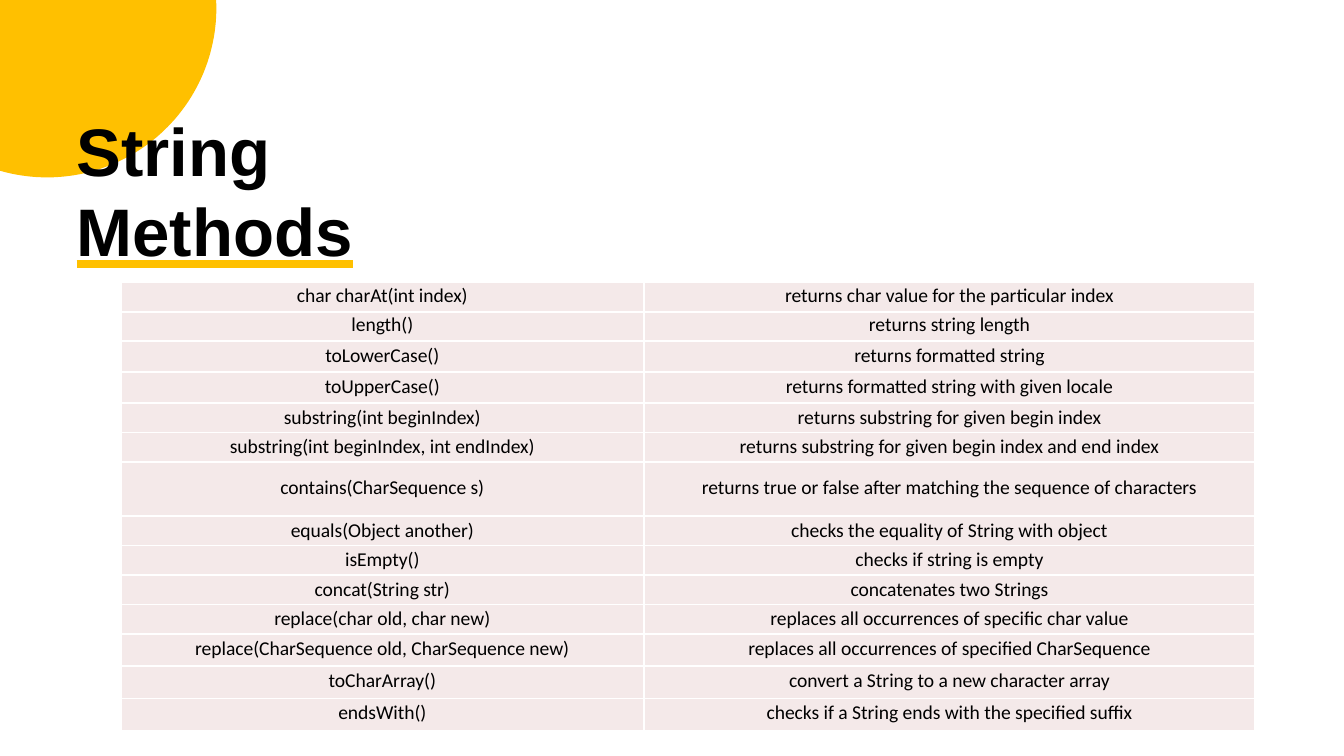
import math

from lxml import etree
from pptx import Presentation
from pptx.dml.color import RGBColor
from pptx.enum.text import MSO_UNDERLINE, PP_ALIGN
from pptx.oxml.ns import qn
from pptx.util import Inches, Pt

CENTER = PP_ALIGN.CENTER
HEAVY_LINE = MSO_UNDERLINE.HEAVY_LINE
YELLOW = RGBColor(0xFF, 0xC0, 0x00)
BLACK = RGBColor(0x00, 0x00, 0x00)
WHITE = RGBColor(0xFF, 0xFF, 0xFF)
PALE_PINK = RGBColor(0xF4, 0xE9, 0xE9)

SLIDE_WIDTH = Inches(10)
SLIDE_HEIGHT = SLIDE_WIDTH * 9 // 16
TITLE_LINES = ["String", "Methods"]

# method, description, row height, top margin of the cells
METHODS = [
    ("char charAt(int index)", "returns char value for the particular index", 0.22, 0.01),
    ("length()", "returns string length", 0.22, 0.01),
    ("toLowerCase()", "returns formatted string", 0.23, 0.02),
    ("toUpperCase()", "returns formatted string with given locale", 0.23, 0.02),
    ("substring(int beginIndex)", "returns substring for given begin index", 0.22, 0.02),
    ("substring(int beginIndex, int endIndex)",
     "returns substring for given begin index and end index", 0.22, 0.02),
    ("contains(CharSequence s)",
     "returns true or false after matching the sequence of characters", 0.40, 0.10),
    ("equals(Object another)", "checks the equality of String with object", 0.22, 0.02),
    ("isEmpty()", "checks if string is empty", 0.22, 0.02),
    ("concat(String str)", "concatenates two Strings", 0.22, 0.02),
    ("replace(char old, char new)",
     "replaces all occurrences of specific char value", 0.22, 0.02),
    ("replace(CharSequence old, CharSequence new)",
     "replaces all occurrences of specified CharSequence", 0.24, 0.02),
    ("toCharArray()", "convert a String to a new character array", 0.24, 0.02),
    ("endsWith()", "checks if a String ends with the specified suffix", 0.24, 0.02),
]
COLUMN_WIDTHS = [3.89, 4.55]
CIRCLE_X, CIRCLE_Y, RADIUS = 0.35, 0.06, 1.26
ARC_STEPS = 60


def add_solid_fill(parent, color):
    fill = etree.SubElement(parent, qn("a:solidFill"))
    etree.SubElement(fill, qn("a:srgbClr"), val=str(color))


def add_corner_circle(slide):
    """Draw the part of the circle that lies inside the top left corner."""
    start = -math.asin(CIRCLE_Y / RADIUS)
    end = math.pi - math.acos(CIRCLE_X / RADIUS)
    angles = [start + (end - start) * step / ARC_STEPS for step in range(ARC_STEPS + 1)]
    arc = [(Inches(CIRCLE_X + RADIUS * math.cos(angle)),
            Inches(CIRCLE_Y + RADIUS * math.sin(angle))) for angle in angles]
    builder = slide.shapes.build_freeform(0, 0)
    builder.add_line_segments(arc, close=True)
    circle = builder.convert_to_shape()
    circle.shadow.inherit = False
    circle.fill.solid()
    circle.fill.fore_color.rgb = YELLOW
    circle.line.fill.background()


def add_title(slide):
    box = slide.shapes.add_textbox(Inches(0.56), Inches(0.79), Inches(4.93), Inches(1.23))
    frame = box.text_frame
    frame.word_wrap = True
    frame.margin_left = Inches(0.01)
    frame.margin_top = Inches(0.02)
    frame.margin_right = frame.margin_bottom = 0
    frame.text = "\n".join(TITLE_LINES)
    for para in frame.paragraphs:
        font = para.font
        font.name, font.size, font.bold = "Arial", Pt(36), True
        font.color.rgb = BLACK
    span = frame.paragraphs[-1].runs[0]
    span.font.underline = HEAVY_LINE
    underline = etree.SubElement(span.font._element, qn("a:uFill"))
    add_solid_fill(underline, YELLOW)


def style_cell(cell, text, top_margin):
    cell.text = text
    cell.margin_left = cell.margin_right = cell.margin_bottom = 0
    cell.margin_top = Inches(top_margin)
    para = cell.text_frame.paragraphs[0]
    para.alignment = CENTER
    para.font.name, para.font.size = "Calibri", Pt(10.5)
    para.font.color.rgb = BLACK
    properties = cell._tc.get_or_add_tcPr()
    for side in ("a:lnL", "a:lnR", "a:lnT", "a:lnB"):
        border = etree.SubElement(properties, qn(side), w=str(Pt(1)))
        add_solid_fill(border, WHITE)
    cell.fill.solid()
    cell.fill.fore_color.rgb = PALE_PINK


def add_method_table(slide):
    height = sum(row_height for _, _, row_height, _ in METHODS)
    table = slide.shapes.add_table(
        len(METHODS), len(COLUMN_WIDTHS), Inches(0.9), Inches(2.1),
        Inches(sum(COLUMN_WIDTHS)), Inches(height)).table
    table.first_row = table.horz_banding = False
    for column, width in zip(table.columns, COLUMN_WIDTHS):
        column.width = Inches(width)
    for row, (method, description, row_height, top_margin) in zip(table.rows, METHODS):
        row.height = Inches(row_height)
        for cell, text in zip(row.cells, (method, description)):
            style_cell(cell, text, top_margin)


def main():
    deck = Presentation()
    deck.slide_width, deck.slide_height = SLIDE_WIDTH, SLIDE_HEIGHT
    slide = deck.slides.add_slide(deck.slide_layouts[6])
    add_corner_circle(slide)
    add_title(slide)
    add_method_table(slide)
    deck.save("out.pptx")


if __name__ == "__main__":
    main()
